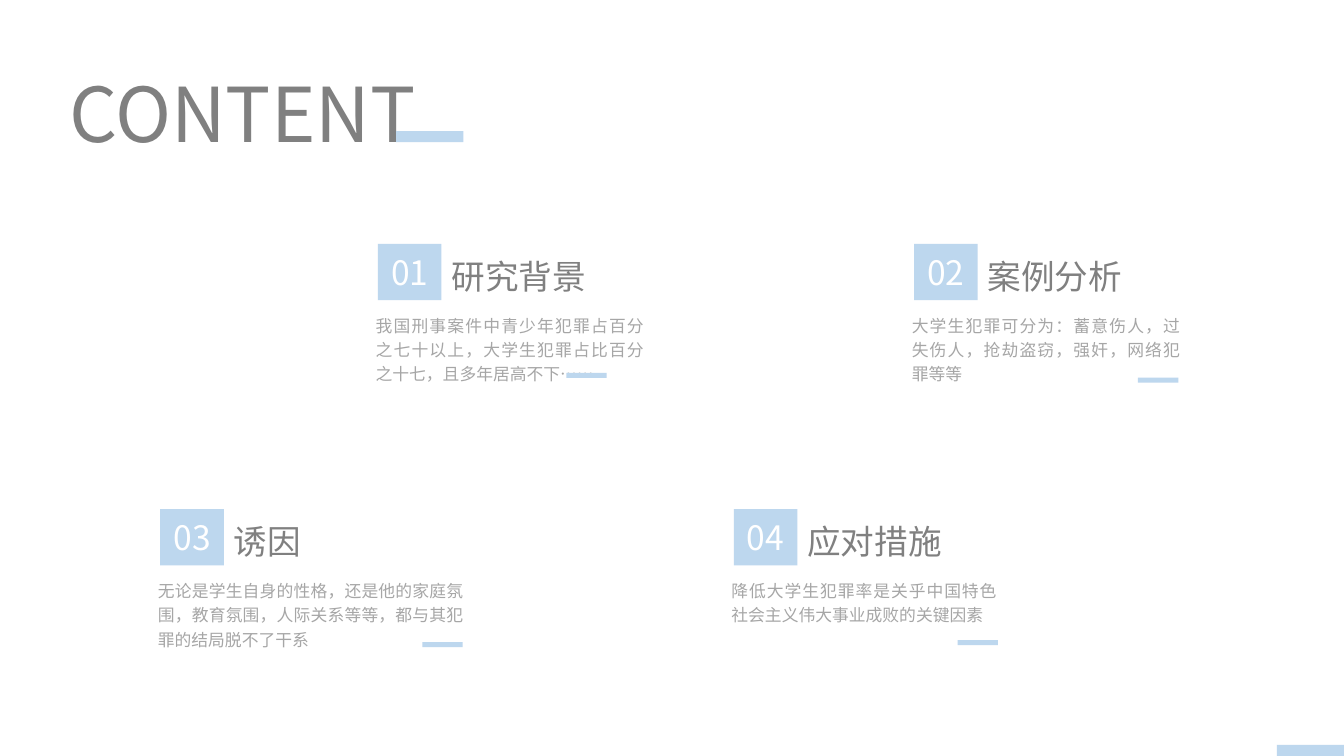
from lxml.etree import SubElement
from pptx import Presentation
from pptx.dml.color import RGBColor
from pptx.enum.shapes import MSO_SHAPE
from pptx.enum.text import MSO_ANCHOR, PP_ALIGN
from pptx.oxml.ns import qn
from pptx.util import Pt

SLIDE_WIDTH, SLIDE_HEIGHT = 960, 540
TYPEFACE = "Noto Sans CJK SC"
PALE_BLUE, WHITE = "BDD7EE", "FFFFFF"
DARK_GREY, LIGHT_GREY = "808080", "A6A6A6"
BADGE_WIDTH, BADGE_HEIGHT = 45.4, 40.3
ACCENT_WIDTH, ACCENT_HEIGHT = 48, 7.9
DASH_WIDTH, DASH_HEIGHT = 28.8, 3.6

# Badge left and top, number, heading, summary, summary width, dash offset
TOPICS = [
    (270, 174.2, "01", "研究背景",
     "我国刑事案件中青少年犯罪占百分之七十以上，大学生犯罪占比百分之十七，且多年居高不下……",
     206, (134.6, 92.2)),
    (653, 174.2, "02", "案例分析",
     "大学生犯罪可分为：蓄意伤人，过失伤人，抢劫盗窃，强奸，网络犯罪等等",
     206, (159.9, 95.6)),
    (114.5, 363.6, "03", "诱因",
     "无论是学生自身的性格，还是他的家庭氛围，教育氛围，人际关系等等，都与其犯罪的结局脱不了干系",
     232.6, (187.2, 95)),
    (524.2, 363.6, "04", "应对措施",
     "降低大学生犯罪率是关乎中国特色社会主义伟大事业成败的关键因素",
     203.8, (159.8, 93.6)),
]


def color(hex_string):
    return RGBColor.from_string(hex_string)


def write(frame, wording, size, hex_string, align=PP_ALIGN.LEFT,
          line_spacing=None, space_before=0):
    frame.word_wrap = True
    paragraph = frame.paragraphs[0]
    paragraph.text = wording
    paragraph.alignment = align
    paragraph.space_before = Pt(space_before)
    if line_spacing:
        paragraph.line_spacing = line_spacing
    font = paragraph.font
    font.size = Pt(size)
    font.color.rgb = color(hex_string)
    font.name = TYPEFACE
    # Chinese characters take the East Asian typeface
    defaults = paragraph._p.pPr.find(qn("a:defRPr"))
    SubElement(defaults, qn("a:ea")).set("typeface", TYPEFACE)


def add_text(slide, left, top, width, height, wording, size, hex_string, **layout):
    label = slide.shapes.add_textbox(Pt(left), Pt(top), Pt(width), Pt(height))
    write(label.text_frame, wording, size, hex_string, **layout)


def add_block(slide, left, top, width, height):
    """Add a plain pale blue rectangle."""
    block = slide.shapes.add_shape(
        MSO_SHAPE.RECTANGLE, Pt(left), Pt(top), Pt(width), Pt(height))
    block.shadow.inherit = False
    block.fill.solid()
    block.fill.fore_color.rgb = color(PALE_BLUE)
    block.line.fill.background()
    return block


def add_title(slide, left, top, width, height):
    add_text(slide, left, top, width, height, "CONTENT", 54, DARK_GREY)
    add_block(slide, left + 240.5, top + 49, ACCENT_WIDTH, ACCENT_HEIGHT)


def add_topic(slide, left, top, number, heading, summary, summary_width, dash_offset):
    badge = add_block(slide, left, top, BADGE_WIDTH, BADGE_HEIGHT)
    badge.text_frame.vertical_anchor = MSO_ANCHOR.MIDDLE
    write(badge.text_frame, number, 24, WHITE, align=PP_ALIGN.CENTER)
    add_text(slide, left + BADGE_WIDTH, top + 8.4, 204, 33, heading, 24, DARK_GREY,
             line_spacing=0.9, space_before=10)
    add_text(slide, left - 8.8, top + 45, summary_width, 58, summary, 12, LIGHT_GREY,
             align=PP_ALIGN.JUSTIFY, line_spacing=1.2)
    dash_x, dash_y = dash_offset
    add_block(slide, left + dash_x, top + dash_y, DASH_WIDTH, DASH_HEIGHT)


def main():
    deck = Presentation()
    deck.slide_width, deck.slide_height = Pt(SLIDE_WIDTH), Pt(SLIDE_HEIGHT)
    slide = deck.slides.add_slide(deck.slide_layouts[6])
    add_block(slide, SLIDE_WIDTH - ACCENT_WIDTH, SLIDE_HEIGHT - ACCENT_HEIGHT,
              ACCENT_WIDTH, ACCENT_HEIGHT)
    add_title(slide, 42.5, 44.6, 479.5, 72.7)
    for topic in TOPICS:
        add_topic(slide, *topic)
    deck.save("out.pptx")


if __name__ == "__main__":
    main()
